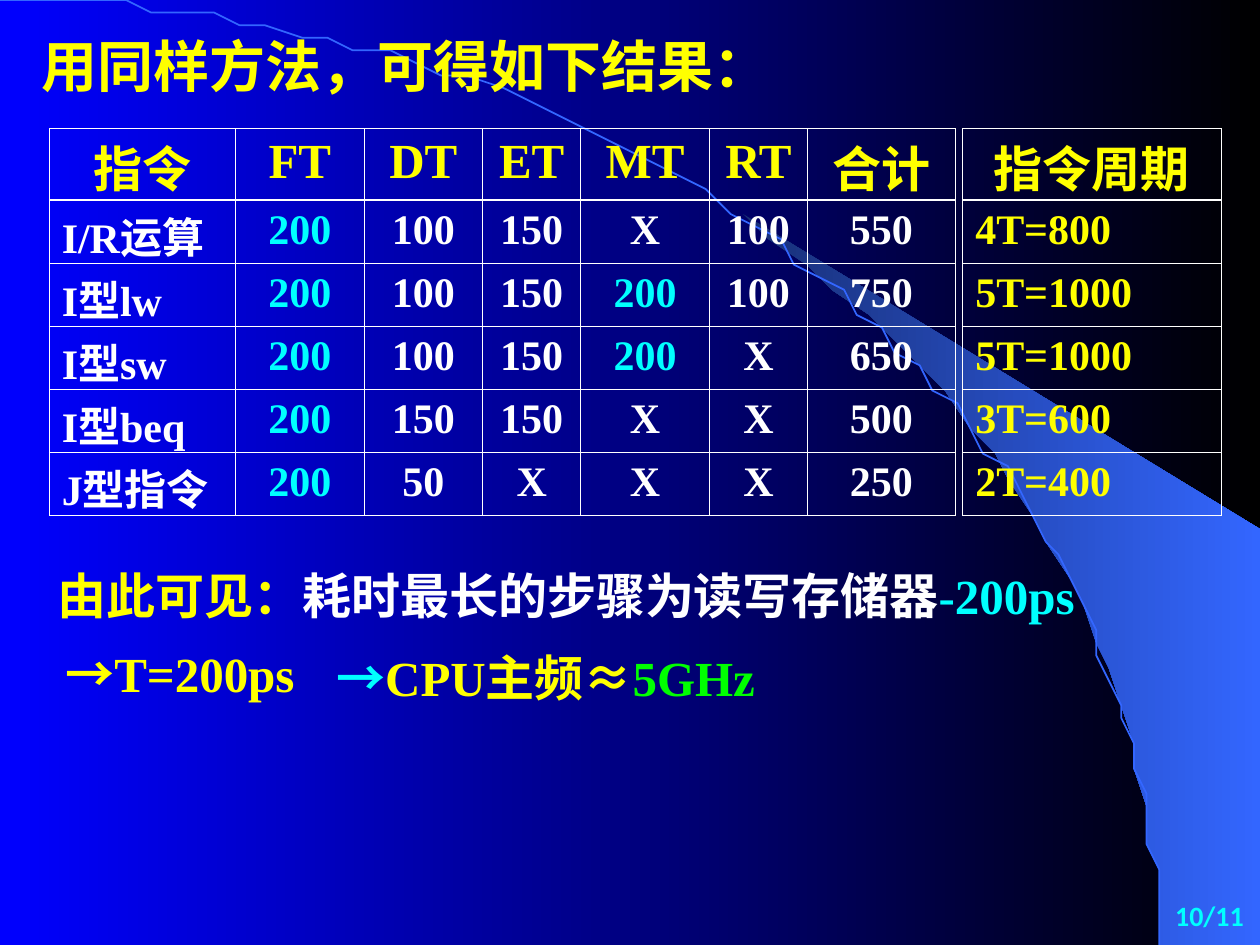
import math
from dataclasses import dataclass

from lxml import etree
from pptx import Presentation
from pptx.dml.color import RGBColor
from pptx.enum.text import MSO_ANCHOR, MSO_AUTO_SIZE, PP_ALIGN
from pptx.oxml.ns import qn
from pptx.util import Inches, Pt

LEFT, CENTER, RIGHT = PP_ALIGN.LEFT, PP_ALIGN.CENTER, PP_ALIGN.RIGHT
TOP = MSO_ANCHOR.TOP
GROW = MSO_AUTO_SIZE.SHAPE_TO_FIT_TEXT
TITLE_ONLY = 5


@dataclass(frozen=True)
class Theme:
    yellow: str = "FFFF00"
    cyan: str = "00FFFF"
    white: str = "FFFFFF"
    green: str = "00FF00"
    blue: str = "0000FF"
    black: str = "000000"
    arc: str = "3366FF"
    shade: str = "182F76"
    serif: str = "Times New Roman"
    chinese: str = "Noto Sans CJK SC"
    sans: str = "Calibri"
    title: int = 32
    heading: int = 28
    cell: int = 24
    page: int = 16


THEME = Theme()

# Content
TITLE = "用同样方法，可得如下结果："
STEPS = [
    ["指令", "FT", "DT", "ET", "MT", "RT", "合计"],
    ["I/R运算", "200", "100", "150", "X", "100", "550"],
    ["I型lw", "200", "100", "150", "200", "100", "750"],
    ["I型sw", "200", "100", "150", "200", "X", "650"],
    ["I型beq", "200", "150", "150", "X", "X", "500"],
    ["J型指令", "200", "50", "X", "X", "X", "250"],
]
CYCLES = [["指令周期"], ["4T=800"], ["5T=1000"], ["5T=1000"], ["3T=600"], ["2T=400"]]
SLOWEST = "200"
# Each conclusion: box in grid units, then runs of text, font and colour
CONCLUSIONS = [
    ((3.5, 43, 85.1, 7.2), [("由此可见：", THEME.chinese, THEME.yellow),
                            ("耗时最长的步骤为读写存储器", THEME.serif, THEME.white),
                            ("-200ps", THEME.serif, THEME.cyan)]),
    ((4.1, 49.2, 30.3, 7.2), [("→", THEME.chinese, THEME.yellow),
                              ("T=200ps", THEME.serif, THEME.yellow)]),
    ((25.6, 49.5, 43.7, 7.2), [("→", THEME.chinese, THEME.cyan),
                               ("CPU主频", THEME.serif, THEME.yellow),
                               ("≈", THEME.chinese, THEME.yellow),
                               ("5GHz", THEME.serif, THEME.green)]),
]
PAGE = "10/11"

# Grid: 100 columns by 75 rows
presentation = Presentation()
presentation.slide_width, presentation.slide_height = Inches(10), Inches(7.5)
UNIT = presentation.slide_width / 100
TABLE_TOP = 10.2
ROW_HEIGHTS = [5.7] + [5] * 5
STEP_COLUMNS = [14.8, 10.2, 9.4, 7.8, 10.2, 7.8, 11.7]
CYCLE_COLUMNS = [20.5]
ARC_WIDTH, ARC_HEIGHT = 92, 74.9


def grid(*units):
    return [round(value * UNIT) for value in units]


def color(value):
    return RGBColor.from_string(value)


def set_values(target, values):
    for name, value in values.items():
        setattr(target, name, value)


def add_run(paragraph, text, font, size, rgb):
    run = paragraph.add_run()
    run.text = text
    set_values(run.font, {"name": font, "size": Pt(size), "bold": True})
    run.font.color.rgb = color(rgb)
    east_asian = etree.SubElement(run.font._element, qn("a:ea"))
    east_asian.set("typeface", THEME.chinese)


def write(shape, runs, size, align=LEFT, spacing=1.0, inset=0.1, auto_size=GROW):
    frame = shape.text_frame
    set_values(frame, {"word_wrap": True, "auto_size": auto_size,
                       "vertical_anchor": TOP,
                       "margin_left": Inches(inset), "margin_right": Inches(inset),
                       "margin_top": Inches(0.05), "margin_bottom": Inches(0.05)})
    paragraph = frame.paragraphs[0]
    set_values(paragraph, {"alignment": align, "line_spacing": spacing})
    for text, font, rgb in runs:
        add_run(paragraph, text, font, size, rgb)


def set_gradient(fill, start, end):
    fill.gradient()
    fill.gradient_angle = 0
    for stop, rgb, position in zip(fill.gradient_stops, (start, end), (0, 1)):
        stop.color.rgb = color(rgb)
        stop.position = position


def add_outline(slide, points, close):
    builder = slide.shapes.build_freeform(*points[0], scale=UNIT)
    builder.add_line_segments(points[1:], close=close)
    shape = builder.convert_to_shape()
    shape.shadow.inherit = False
    return shape


def arc_points(start_angle, steps):
    angles = [math.radians(start_angle + (90 - start_angle) * i / steps)
              for i in range(steps + 1)]
    return [(ARC_WIDTH * math.sin(a), ARC_HEIGHT * (1 - math.cos(a))) for a in angles]


def set_borders(cell, widths):
    properties = cell._tc.get_or_add_tcPr()
    for side, width in widths.items():
        line = etree.SubElement(properties, qn(f"a:ln{side}"), w=str(Pt(width)))
        fill = etree.SubElement(line, qn("a:solidFill"))
        etree.SubElement(fill, qn("a:srgbClr"), val=THEME.white)


def add_grid_table(slide, rows, left, columns, body_style):
    box = grid(left, TABLE_TOP, sum(columns), sum(ROW_HEIGHTS))
    table = slide.shapes.add_table(len(rows), len(columns), *box).table
    set_values(table, {"first_row": False, "horz_banding": False})
    for column, width in zip(table.columns, grid(*columns)):
        column.width = width
    for row, height in zip(table.rows, grid(*ROW_HEIGHTS)):
        row.height = height
    for r, values in enumerate(rows):
        for c, text in enumerate(values):
            cell = table.cell(r, c)
            set_borders(cell, {"L": 0.45, "R": 0.45,
                               "T": 1.47 if r == 1 else 0.45,
                               "B": 1.47 if r == 0 else 0.45})
            cell.fill.background()
            rgb, align = (THEME.yellow, CENTER) if r == 0 else body_style(c, text)
            paragraph = cell.text_frame.paragraphs[0]
            paragraph.alignment = align
            # Chinese lines are taller: tighten them to keep the row height
            if any("\u4e00" <= letter <= "\u9fff" for letter in text):
                paragraph.line_spacing = 0.8
                set_values(cell, {"margin_top": Inches(0.11), "margin_bottom": 0})
            size = THEME.heading if r == 0 else THEME.cell
            add_run(paragraph, text, THEME.serif, size, rgb)


def step_style(column, text):
    rgb = THEME.cyan if text == SLOWEST else THEME.white
    return rgb, LEFT if column == 0 else CENTER


def cycle_style(column, text):
    return THEME.yellow, LEFT


# Background and arc
slide = presentation.slides.add_slide(presentation.slide_layouts[TITLE_ONLY])
set_gradient(slide.background.fill, THEME.blue, THEME.black)
swoosh = add_outline(slide, arc_points(39.8, 24) + [(99.9, 74.9), (99.9, 42.3)], True)
set_gradient(swoosh.fill, THEME.shade, THEME.arc)
swoosh.line.fill.background()
arc = add_outline(slide, arc_points(0, 60), False)
arc.fill.background()
arc.line.color.rgb = color(THEME.arc)
arc.line.width = Pt(1)

# Title, in front of the arc
title = slide.shapes.title
slide.shapes.element.append(title.element)
set_values(title, dict(zip(("left", "top", "width", "height"),
                           grid(2.3, 1.2, 60.6, 7.2))))
write(title, [(TITLE, THEME.serif, THEME.yellow)], THEME.title, spacing=1.15)

# Tables
add_grid_table(slide, STEPS, 3.9, STEP_COLUMNS, step_style)
add_grid_table(slide, CYCLES, 76.4, CYCLE_COLUMNS, cycle_style)

# Conclusions and page number
for box, runs in CONCLUSIONS:
    write(slide.shapes.add_textbox(*grid(*box)), runs, THEME.heading,
          spacing=1.3, inset=0.11)
write(slide.shapes.add_textbox(*grid(87.9, 70.8, 11.8, 3.9)),
      [(PAGE, THEME.sans, THEME.cyan)], THEME.page, RIGHT, auto_size=MSO_AUTO_SIZE.NONE)

presentation.save("out.pptx")
